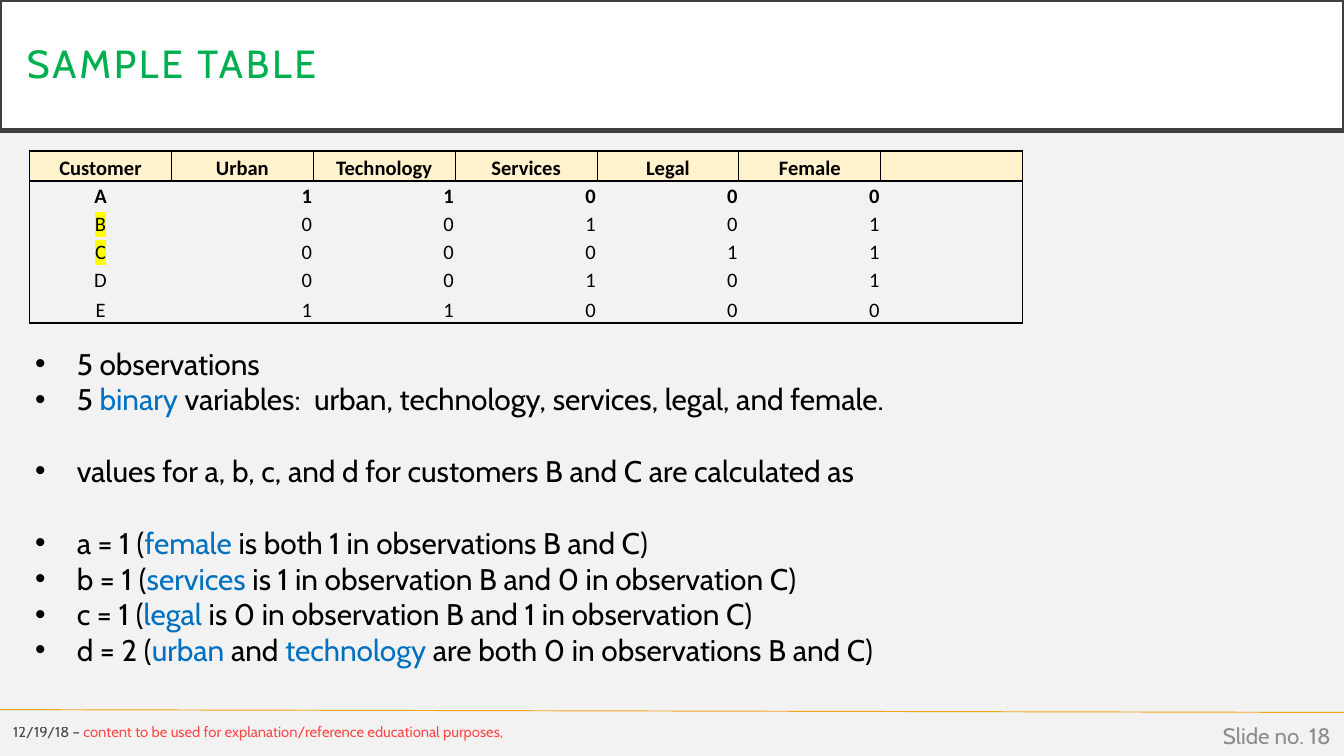
import pptx
import pptx.dml.color
import pptx.enum.shapes
import pptx.enum.text
import pptx.oxml.ns
import pptx.util
from dataclasses import dataclass
from lxml import etree

TITLE = "SAMPLE TABLE"
HEADINGS = ["Customer", "Urban", "Technology", "Services", "Legal", "Female", ""]
CUSTOMERS = {
    "A": (1, 1, 0, 0, 0),
    "B": (0, 0, 1, 0, 1),
    "C": (0, 0, 0, 1, 1),
    "D": (0, 0, 1, 0, 1),
    "E": (1, 1, 0, 0, 0),
}
BOLD_CUSTOMER = "A"
MARKED_CUSTOMERS = "BC"
# Each group is set apart by one line; every second span of a bullet is a keyword.
BULLET_GROUPS = [
    [
        ["5 observations"],
        ["5 ", "binary", " variables:  urban, technology, services, legal, and female."],
    ],
    [["values for a, b, c, and d for customers B and C are calculated as"]],
    [
        ["a = 1 (", "female", " is both 1 in observations B and C)"],
        ["b = 1 (", "services", " is 1 in observation B and 0 in observation C)"],
        ["c = 1 (", "legal", " is 0 in observation B and 1 in observation C)"],
        ["d = 2 (", "urban", " and ", "technology", " are both 0 in observations B and C)"],
    ],
]
DATE = "12/19/18 – "
NOTICE = "content to be used for explanation/reference educational purposes,"
SLIDE_NUMBER = "Slide no. 18"


@dataclass(frozen=True)
class Theme:
    font: str = "Cabin"
    table_font: str = "Calibri"
    background: str = "F2F2F2"
    white: str = "FFFFFF"
    frame: str = "404040"
    title: str = "00B050"
    text: str = "000000"
    keyword: str = "0070C0"
    header: str = "FFF2CC"
    marker: str = "FFFF00"
    rule: str = "F6A21D"
    notice: str = "FF0000"
    number: str = "8C8C8C"
    title_size: float = 21
    body_size: float = 16
    number_size: float = 12
    table_size: float = 11
    notice_size: float = 7.9
    group_gap: float = 19.2


THEME = Theme()
WIDTH = pptx.util.Inches(10)
HEIGHT = WIDTH * 9 // 16

# Left, top, width, height in percent of the slide
AREAS = {
    "title": (0, 0, 100, 17.3),
    "table": (2.2, 20, 73.9, 22.6),
    "bullets": (1.63, 44.8, 96.9, 44.8),
    "notice": (0, 94.4, 42.4, 4.8),
    "number": (77.5, 94.6, 22.5, 5.4),
}
RULE = (0, 93.87, 100, 94.25)
ALIGN = pptx.enum.text.PP_ALIGN
ANCHOR = pptx.enum.text.MSO_ANCHOR


def place(shares):
    return [round(share * side / 100) for share, side in zip(shares, (WIDTH, HEIGHT) * 2)]


def rgb(value):
    return pptx.dml.color.RGBColor.from_string(value)


def add_xml(parent, tag, **attributes):
    child = etree.SubElement(parent, pptx.oxml.ns.qn(tag))
    for name, value in attributes.items():
        child.set(name, str(value))
    return child


def set_font(paragraph, size, color, name=THEME.font, bold=False):
    font = paragraph.font
    font.size, font.name, font.bold = pptx.util.Pt(size), name, bold
    font.color.rgb = rgb(color)


def add_span(paragraph, text, color=None, opacity=None):
    span = paragraph.add_run()
    span.text = text
    if color:
        span.font.color.rgb = rgb(color)
    if opacity:
        tint = span._r.find(".//" + pptx.oxml.ns.qn("a:srgbClr"))
        add_xml(tint, "a:alpha", val=opacity * 1000)
    return span


def add_box(page, area, anchor):
    box = page.shapes.add_textbox(*place(AREAS[area]))
    box.text_frame.word_wrap = True
    box.text_frame.vertical_anchor = anchor
    return box.text_frame


def add_rule(page):
    rule = page.shapes.add_connector(pptx.enum.shapes.MSO_CONNECTOR.STRAIGHT, *place(RULE))
    rule.line.color.rgb = rgb(THEME.rule)
    rule.line.width = pptx.util.Pt(0.5)
    add_xml(rule._element.spPr, "a:effectLst")


def add_title(page):
    box = page.shapes.add_shape(pptx.enum.shapes.MSO_SHAPE.RECTANGLE, *place(AREAS["title"]))
    box.shadow.inherit = False
    box.fill.solid()
    box.fill.fore_color.rgb = rgb(THEME.white)
    box.line.color.rgb = rgb(THEME.frame)
    box.line.width = pptx.util.Pt(2.5)
    frame = box.text_frame
    frame.margin_left = frame.margin_right = pptx.util.Inches(0.2)
    frame.margin_top = frame.margin_bottom = pptx.util.Inches(0.2)
    frame.vertical_anchor = ANCHOR.MIDDLE
    paragraph = frame.paragraphs[0]
    paragraph.alignment = ALIGN.LEFT
    paragraph.line_spacing = 0.9
    set_font(paragraph, THEME.title_size, THEME.title)
    span = add_span(paragraph, TITLE, THEME.title)
    span._r.get_or_add_rPr().set("spc", "150")


def set_borders(cell, widths):
    """Draw the left, right, top and bottom edges; a width of 0 hides one."""
    properties = cell._tc.get_or_add_tcPr()
    for side, width in zip("LRTB", widths):
        edge = add_xml(properties, "a:ln" + side, w=pptx.util.Pt(width))
        if width:
            add_xml(add_xml(edge, "a:solidFill"), "a:srgbClr", val=THEME.text)
        else:
            add_xml(edge, "a:noFill")


def add_customer_table(page):
    rows = [HEADINGS] + [[name, *values, ""] for name, values in CUSTOMERS.items()]
    last_row, last_column = len(rows) - 1, len(HEADINGS) - 1
    table = page.shapes.add_table(len(rows), len(HEADINGS), *place(AREAS["table"])).table
    table.first_row = table.horz_banding = False
    for index, row in enumerate(rows):
        header = index == 0
        table.rows[index].height = pptx.util.Inches(0.22 if index in (0, last_row) else 0.21)
        for column, value in enumerate(row):
            cell = table.cell(index, column)
            inner = 0.5 if header else 0
            set_borders(cell, (
                1 if column == 0 else inner,
                1 if column == last_column else inner,
                1 if index <= 1 else 0,
                1 if index in (0, last_row) else 0,
            ))
            if header:
                cell.fill.solid()
                cell.fill.fore_color.rgb = rgb(THEME.header)
            else:
                cell.fill.background()
            cell.margin_left = cell.margin_right = cell.margin_top = pptx.util.Inches(0.01)
            cell.margin_bottom = 0
            cell.vertical_anchor = ANCHOR.BOTTOM
            paragraph = cell.text_frame.paragraphs[0]
            paragraph.alignment = ALIGN.CENTER if header or column == 0 else ALIGN.RIGHT
            bold = header or row[0] == BOLD_CUSTOMER
            set_font(paragraph, THEME.table_size, THEME.text, THEME.table_font, bold)
            if value == "":
                add_xml(paragraph._p, "a:endParaRPr", sz=THEME.table_size * 100)
                continue
            span = add_span(paragraph, str(value))
            if column == 0 and value in MARKED_CUSTOMERS:
                marker = add_xml(span._r.get_or_add_rPr(), "a:highlight")
                add_xml(marker, "a:srgbClr", val=THEME.marker)


def add_bullets(page):
    frame = add_box(page, "bullets", ANCHOR.TOP)
    indent = pptx.util.Inches(0.31)
    for group_index, group in enumerate(BULLET_GROUPS):
        for index, spans in enumerate(group):
            first = group_index == index == 0
            paragraph = frame.paragraphs[0] if first else frame.add_paragraph()
            if group_index and index == 0:
                paragraph.space_before = pptx.util.Pt(THEME.group_gap)
            properties = paragraph._p.get_or_add_pPr()
            properties.set("marL", str(indent))
            properties.set("indent", str(-indent))
            add_xml(properties, "a:buFont", typeface="Arial")
            add_xml(properties, "a:buChar", char="•")
            set_font(paragraph, THEME.body_size, THEME.text)
            for position, text in enumerate(spans):
                add_span(paragraph, text, THEME.keyword if position % 2 else None)


def add_footer(page):
    number = add_box(page, "number", ANCHOR.MIDDLE).paragraphs[0]
    number.alignment = ALIGN.RIGHT
    set_font(number, THEME.number_size, THEME.number)
    add_span(number, SLIDE_NUMBER)
    notice = add_box(page, "notice", ANCHOR.MIDDLE).paragraphs[0]
    set_font(notice, THEME.notice_size, THEME.text)
    add_span(notice, DATE, THEME.text, opacity=70)
    add_span(notice, NOTICE, THEME.notice, opacity=70)


deck = pptx.Presentation()
deck.slide_width, deck.slide_height = WIDTH, HEIGHT
page = deck.slides.add_slide(deck.slide_layouts[6])
page.background.fill.solid()
page.background.fill.fore_color.rgb = rgb(THEME.background)
for add_part in (add_rule, add_title, add_footer, add_customer_table, add_bullets):
    add_part(page)
deck.save("out.pptx")
